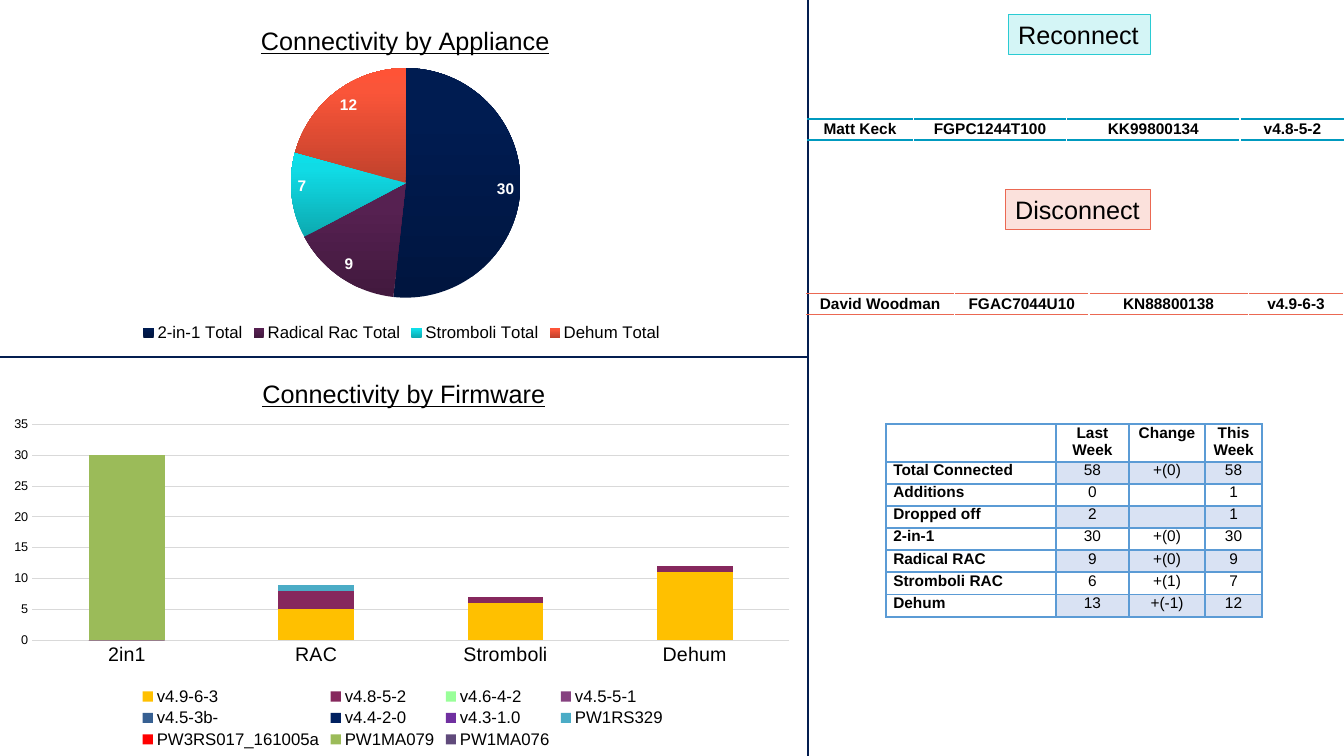
from pptx import Presentation
from pptx.chart.data import CategoryChartData
from pptx.dml.color import RGBColor as RGB
from pptx.enum.chart import XL_CHART_TYPE as ChartType
from pptx.enum.chart import XL_LABEL_POSITION as LabelPos
from pptx.enum.chart import XL_LEGEND_POSITION as LegendPos
from pptx.enum.chart import XL_TICK_MARK as Tick
from pptx.enum.shapes import MSO_CONNECTOR as Connector
from pptx.enum.shapes import MSO_SHAPE as Shape
from pptx.enum.text import MSO_ANCHOR as Anchor
from pptx.enum.text import PP_ALIGN as Align
from pptx.oxml.ns import qn
from pptx.util import Inches, Pt
from copy import deepcopy
from lxml.etree import SubElement

BLACK, WHITE = RGB(0, 0, 0), RGB(255, 255, 255)
NAVY, GRID = RGB(0x04, 0x1E, 0x50), RGB(0xD9, 0xD9, 0xD9)
TEAL, TEAL_EDGE, TEAL_TINT = RGB(0, 0x9A, 0xBF), RGB(0x2A, 0xCB, 0xD3), RGB(0xD4, 0xF5, 0xF6)
CORAL, CORAL_TINT = RGB(0xEB, 0x68, 0x52), RGB(0xFB, 0xE1, 0xDC)
BLUE, BAND = RGB(0x5B, 0x9B, 0xD5), RGB(0xD9, 0xE2, 0xF3)

# Content: appliances with their gradient at 0, 80 and 100 %
appliances = [
    ("2-in-1 Total", 30, ("00153F", "001C51", "001C52")),
    ("Radical Rac Total", 9, ("42193E", "562151", "572052")),
    ("Stromboli Total", 7, ("0CA9B0", "10DBE5", "0CE0EA")),
    ("Dehum Total", 12, ("C0412C", "FA5539", "FF5336")),
]
firmware_groups = ["2in1", "RAC", "Stromboli", "Dehum"]
NONE = (0, 0, 0, 0)
firmware = [
    ("v4.9-6-3", (0, 5, 6, 11), "FFC000"),
    ("v4.8-5-2", (0, 3, 1, 1), "86285D"),
    ("v4.6-4-2", NONE, "99FF99"),
    ("v4.5-5-1", NONE, "864180"),
    ("v4.5-3b-", NONE, "376092"),
    ("v4.4-2-0", NONE, "002060"),
    ("v4.3-1.0", NONE, "7030A0"),
    ("PW1RS329", (0, 1, 0, 0), "4BACC6"),
    ("PW3RS017_161005a", NONE, "FF0000"),
    ("PW1MA079", (30, 0, 0, 0), "9BBB59"),
    ("PW1MA076", NONE, "604A7B"),
]
# heading, heading box, tint, edge, rule colour, row, table corner, columns
changes = [
    ("Reconnect", (10, 0.14, 1.41, 0.4), TEAL_TINT, TEAL_EDGE, TEAL,
     ["Matt Keck", "FGPC1244T100", "KK99800134", "v4.8-5-2"],
     (8, 1.18), (1.06, 1.52, 1.72, 1.04)),
    ("Disconnect", (9.97, 1.88, 1.44, 0.4), CORAL_TINT, CORAL, CORAL,
     ["David Woodman", "FGAC7044U10", "KN88800138", "v4.9-6-3"],
     (7.99, 2.91), (1.48, 1.33, 1.58, 0.95)),
]
summary = [
    ["", "Last Week", "Change", "This Week"],
    ["Total Connected", "58", "+(0)", "58"],
    ["Additions", "0", "", "1"],
    ["Dropped off", "2", "", "1"],
    ["2-in-1", "30", "+(0)", "30"],
    ["Radical RAC", "9", "+(0)", "9"],
    ["Stromboli RAC", "6", "+(1)", "7"],
    ["Dehum", "13", "+(-1)", "12"],
]
DIVIDER_X, DIVIDER_Y = 8.01, 3.54

deck = Presentation()
deck.slide_width, deck.slide_height = Inches(13.33), Inches(7.5)
slide = deck.slides.add_slide(deck.slide_layouts[6])
shapes = slide.shapes


def style(font, size, color=BLACK, bold=False):
    font.name, font.size, font.bold = "Arial", Pt(size), bold
    font.color.rgb = color


def lay_out(part, index, inner=False, **shares):
    """Place a chart part by shares of the chart's size."""
    for old in part.findall(qn("c:layout")):
        part.remove(old)
    layout = SubElement(part, qn("c:layout"))
    part.insert(index, layout)
    manual = SubElement(layout, qn("c:manualLayout"))
    if inner:
        SubElement(manual, qn("c:layoutTarget")).set("val", "inner")
    for key in ("x", "y"):
        SubElement(manual, qn(f"c:{key}Mode")).set("val", "edge")
    for key, share in shares.items():
        SubElement(manual, qn(f"c:{key}")).set("val", str(share))


def add_chart(kind, title, box, categories, series, plot_area):
    data = CategoryChartData()
    data.categories = categories
    for name, values in series:
        data.add_series(name, values)
    chart = shapes.add_chart(kind, *map(Inches, box), data).chart
    style(chart.font, 10)
    heading = chart.chart_title.text_frame
    heading.text = title
    style(heading.paragraphs[0].font, 18)
    heading.paragraphs[0].font.underline = True
    chart.has_legend = True
    chart.legend.position = LegendPos.BOTTOM
    chart.legend.include_in_layout = False
    style(chart.legend.font, 12)
    lay_out(chart.chart_title._element, 1, x=0.32, y=0.05)
    x, y, w, h = plot_area
    lay_out(chart._chartSpace.find(".//" + qn("c:plotArea")), 0, True, x=x, y=y, w=w, h=h)
    return chart


def add_table(rows, corner, widths, heights):
    frame = shapes.add_table(len(rows), len(widths), *map(Inches, corner),
                             Inches(sum(widths)), Inches(sum(heights)))
    table = frame.table
    table.first_row = table.horz_banding = False
    for column, width in zip(table.columns, widths):
        column.width = Inches(width)
    for row, height in zip(table.rows, heights):
        row.height = Inches(height)
    return table


def fill_cell(cell, text, sides, color, width, fill=None, bold=True, align=Align.CENTER):
    cell.margin_left = cell.margin_right = Inches(0.07)
    cell.margin_top = cell.margin_bottom = 0
    paragraph = cell.text_frame.paragraphs[0]
    paragraph.text = text
    paragraph.alignment = align
    style(paragraph.font, 11, bold=bold)
    if not text:
        SubElement(paragraph._p, qn("a:endParaRPr")).set("sz", "1100")
    for side in sides:
        border = SubElement(cell._tc.get_or_add_tcPr(), qn(f"a:ln{side}"), w=str(Pt(width)))
        SubElement(SubElement(border, qn("a:solidFill")), qn("a:srgbClr")).set("val", str(color))
    if fill is None:
        cell.fill.background()
    else:
        cell.fill.solid()
        cell.fill.fore_color.rgb = fill


# Dividers between the three areas
for start, end in [((0, DIVIDER_Y), (DIVIDER_X, DIVIDER_Y)),
                   ((DIVIDER_X, DIVIDER_Y), (DIVIDER_X, 0)),
                   ((DIVIDER_X, DIVIDER_Y), (DIVIDER_X, 7.5))]:
    divider = shapes.add_connector(Connector.STRAIGHT, *map(Inches, start + end))
    divider.line.color.rgb, divider.line.width = NAVY, Pt(1.5)
    SubElement(divider._element.spPr, qn("a:effectLst"))

# Pie of appliances
names, totals, gradients = zip(*appliances)
pie = add_chart(ChartType.PIE, "Connectivity by Appliance", (-0.02, 0.03, 8.01, 3.4),
                names, [("Series 1", totals)], (0.36, 0.19, 0.29, 0.67))
pie_plot = pie.plots[0]
pie_plot.vary_by_categories = True
slices = pie_plot.series[0]
for index, colors in enumerate(gradients):
    fill = slices.points[index].format.fill
    fill.gradient()
    fill.gradient_angle = 90
    stop_list = slices._element.findall(".//" + qn("a:gsLst"))[-1]
    stop_list.append(deepcopy(stop_list[-1]))
    for stop, position, color in zip(fill.gradient_stops, (0, 0.8, 1), colors):
        stop.position, stop.color.rgb = position, RGB.from_string(color)
pie_plot.has_data_labels = True
labels = pie_plot.data_labels
labels.show_value, labels.position = True, LabelPos.INSIDE_END
style(labels.font, 11, WHITE, True)

# Stacked columns of firmware
bars = add_chart(ChartType.COLUMN_STACKED, "Connectivity by Firmware", (0, 3.5, 7.99, 3.96),
                 firmware_groups, [version[:2] for version in firmware],
                 (0.04, 0.18, 0.94, 0.54))
lay_out(bars.legend._element, 1, x=0.17, y=0.83, w=0.66, h=0.17)
bar_plot = bars.plots[0]
bar_plot.vary_by_categories = False
bar_plot.gap_width, bar_plot.overlap = 150, 100
for series, (_, _, color) in zip(bar_plot.series, firmware):
    series.format.fill.solid()
    series.format.fill.fore_color.rgb = RGB.from_string(color)
for axis, size in ((bars.category_axis, 14), (bars.value_axis, 9)):
    axis.major_tick_mark = axis.minor_tick_mark = Tick.NONE
    style(axis.tick_labels.font, size)
counts = bars.value_axis
counts.minimum_scale, counts.maximum_scale, counts.major_unit = 0, 35, 5
counts.format.line.fill.background()
for line in (bars.category_axis.format.line, counts.major_gridlines.format.line):
    line.color.rgb, line.width = GRID, Pt(0.75)

# Reconnected and disconnected devices
for heading, box, tint, edge, rule, device, corner, widths in changes:
    tag = shapes.add_shape(Shape.RECTANGLE, *map(Inches, box))
    tag.shadow.inherit = False
    tag.fill.solid()
    tag.fill.fore_color.rgb = tint
    tag.line.color.rgb, tag.line.width = edge, Pt(0.5)
    tag.text_frame.word_wrap = False
    label = tag.text_frame.paragraphs[0]
    label.text, label.alignment = heading, Align.LEFT
    style(label.font, 18)
    roster = add_table([device], corner, widths, [0.21])
    for cell, text in zip(roster.rows[0].cells, device):
        fill_cell(cell, text, "TB", rule, 1)
        cell.vertical_anchor = Anchor.MIDDLE

# Weekly summary, with every second row banded
weekly = add_table(summary, (8.79, 4.21), (1.68, 0.73, 0.75, 0.57), [0.37] + [0.22] * 7)
for r, texts in enumerate(summary):
    for c, text in enumerate(texts):
        is_label = r == 0 or c == 0
        fill_cell(weekly.cell(r, c), text, "LRTB", BLUE, 1.5,
                  WHITE if is_label else BAND if r % 2 else None, is_label,
                  Align.LEFT if c == 0 else Align.CENTER)

deck.save("out.pptx")
